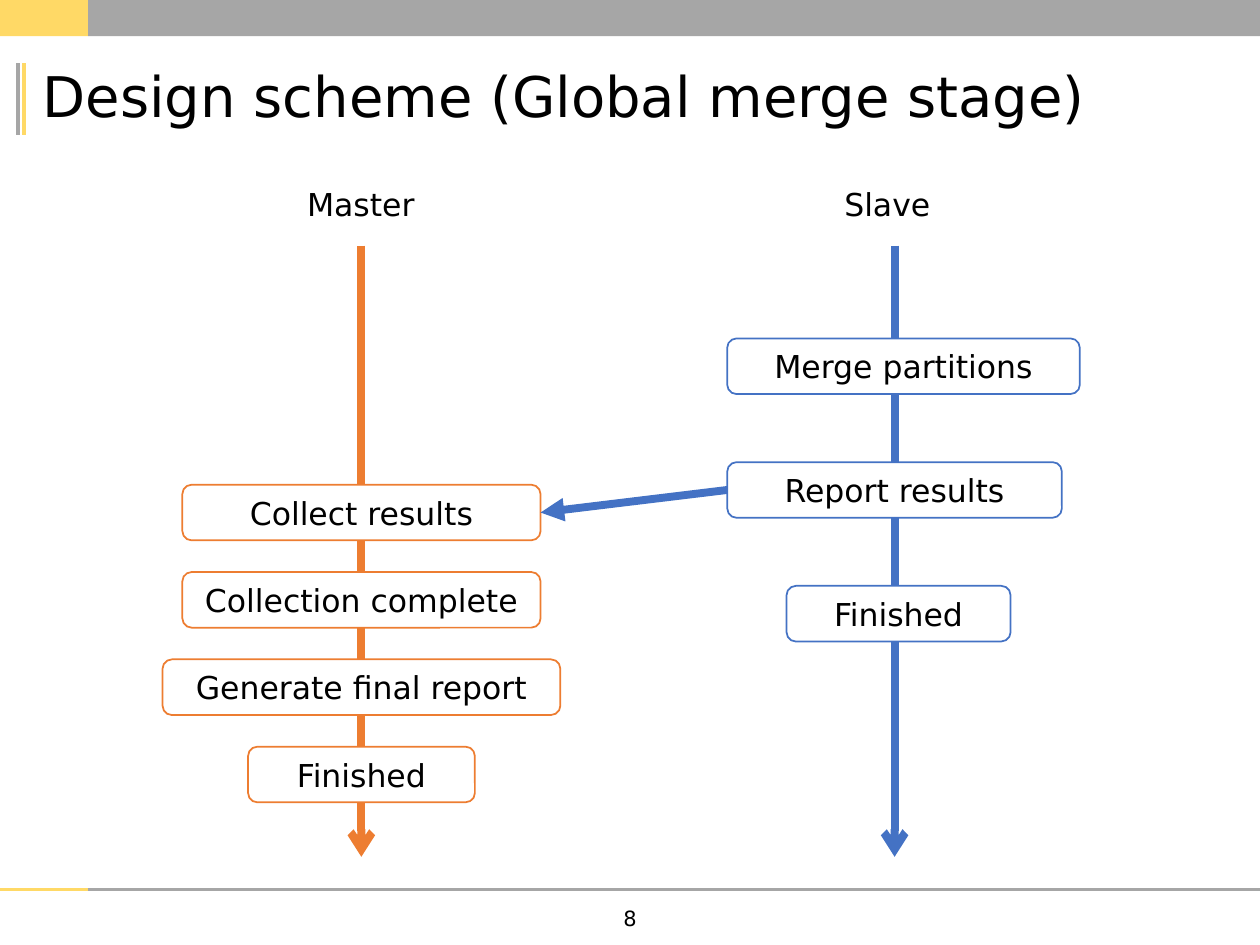
from pptx import Presentation
from pptx.dml.color import RGBColor
from pptx.enum.shapes import MSO_CONNECTOR, MSO_SHAPE
from pptx.enum.text import MSO_ANCHOR, MSO_AUTO_SIZE, PP_ALIGN
from pptx.oxml.ns import qn
from pptx.util import Pt
from lxml.etree import SubElement

COLORS = {"yellow": "FFD966", "gray": "A6A6A6", "orange": "ED7D31",
          "blue": "4472C4", "white": "FFFFFF", "black": "000000"}

prs = Presentation()
prs.slide_width, prs.slide_height = Pt(720), Pt(540)
s = prs.slides.add_slide(prs.slide_layouts[6])


def write(sp, text, size=18, align=PP_ALIGN.LEFT, anchor=MSO_ANCHOR.MIDDLE,
          wrap=True, spacing=None):
    tf = sp.text_frame
    tf.word_wrap = wrap
    tf.auto_size = MSO_AUTO_SIZE.NONE if wrap else MSO_AUTO_SIZE.SHAPE_TO_FIT_TEXT
    tf.vertical_anchor = anchor
    p = tf.paragraphs[0]
    p.alignment = align
    p.line_spacing = spacing
    r = p.add_run()
    r.text = text
    r.font.size = Pt(size)
    r.font.name = "DejaVu Sans"
    r.font.color.rgb = RGBColor.from_string(COLORS["black"])


def add_line(x1, y1, x2, y2, color, width, arrow=None):
    c = s.shapes.add_connector(MSO_CONNECTOR.STRAIGHT, Pt(x1), Pt(y1), Pt(x2), Pt(y2))
    c.line.color.rgb = RGBColor.from_string(COLORS[color])
    c.line.width = Pt(width)
    if arrow:
        SubElement(c.line._get_or_add_ln(), qn("a:tailEnd"), type=arrow)
    SubElement(c._element.spPr, qn("a:effectLst"))
    return c


# Top band, footer rule and title bars
for x, w, color in [(0, 50.4, "yellow"), (50.4, 669.6, "gray")]:
    sp = s.shapes.add_shape(MSO_SHAPE.RECTANGLE, Pt(x), 0, Pt(w), Pt(20.7))
    sp.shadow.inherit = False
    sp.fill.solid()
    sp.fill.fore_color.rgb = RGBColor.from_string(COLORS[color])
    sp.line.fill.background()
    add_line(x, 508.2, x + w, 508.2, color, 1.5)
for x, color in [(13.6, "yellow"), (10.5, "gray")]:
    add_line(x, 36, x, 77, color, 2.25)

# Title and page number
write(s.shapes.add_textbox(Pt(17.3), Pt(36.3), Pt(680.4), Pt(41)),
      "Design scheme (Global merge stage)", size=32, spacing=0.9)
write(s.shapes.add_textbox(Pt(252), Pt(508.8), Pt(216), Pt(31.5)),
      "8", size=12, align=PP_ALIGN.CENTER)

# Timelines: label, label left and width, axis x, colour, first top, step, boxes
timelines = [
    ("Master", 168.4, 78, 206.5, "orange", 277, 49.9,
     [("Collect results", 104.2, 204.7), ("Collection complete", 104.2, 204.7),
      ("Generate final report", 92.9, 227.3), ("Finished", 141.8, 129.6)]),
    ("Slave", 475.4, 66, 511.2, "blue", 193.4, 70.7,
     [("Merge partitions", 415.6, 201.5), ("Report results", 415.6, 191.2),
      ("Finished", 449.5, 128)]),
]
boxes = {}
for label, left, width, axis, color, top, step, steps in timelines:
    add_line(axis, 140.4, axis, 489.6, color, 4.5, "arrow")
    write(s.shapes.add_textbox(Pt(left), Pt(102.2), Pt(width), Pt(29)),
          label, anchor=MSO_ANCHOR.TOP, wrap=False)
    for i, (text, x, w) in enumerate(steps):
        sp = s.shapes.add_shape(MSO_SHAPE.ROUNDED_RECTANGLE,
                                Pt(x), Pt(top + i * step), Pt(w), Pt(31.8))
        sp.shadow.inherit = False
        sp.fill.solid()
        sp.fill.fore_color.rgb = RGBColor.from_string(COLORS["white"])
        sp.line.color.rgb = RGBColor.from_string(COLORS[color])
        sp.line.width = Pt(1)
        write(sp, text, align=PP_ALIGN.CENTER)
        boxes[label, text] = sp

# Slave reports to master
c = add_line(415.6, 280, 308.9, 292.9, "blue", 4.5, "triangle")
c.begin_connect(boxes["Slave", "Report results"], 1)
c.end_connect(boxes["Master", "Collect results"], 3)

prs.save("out.pptx")
